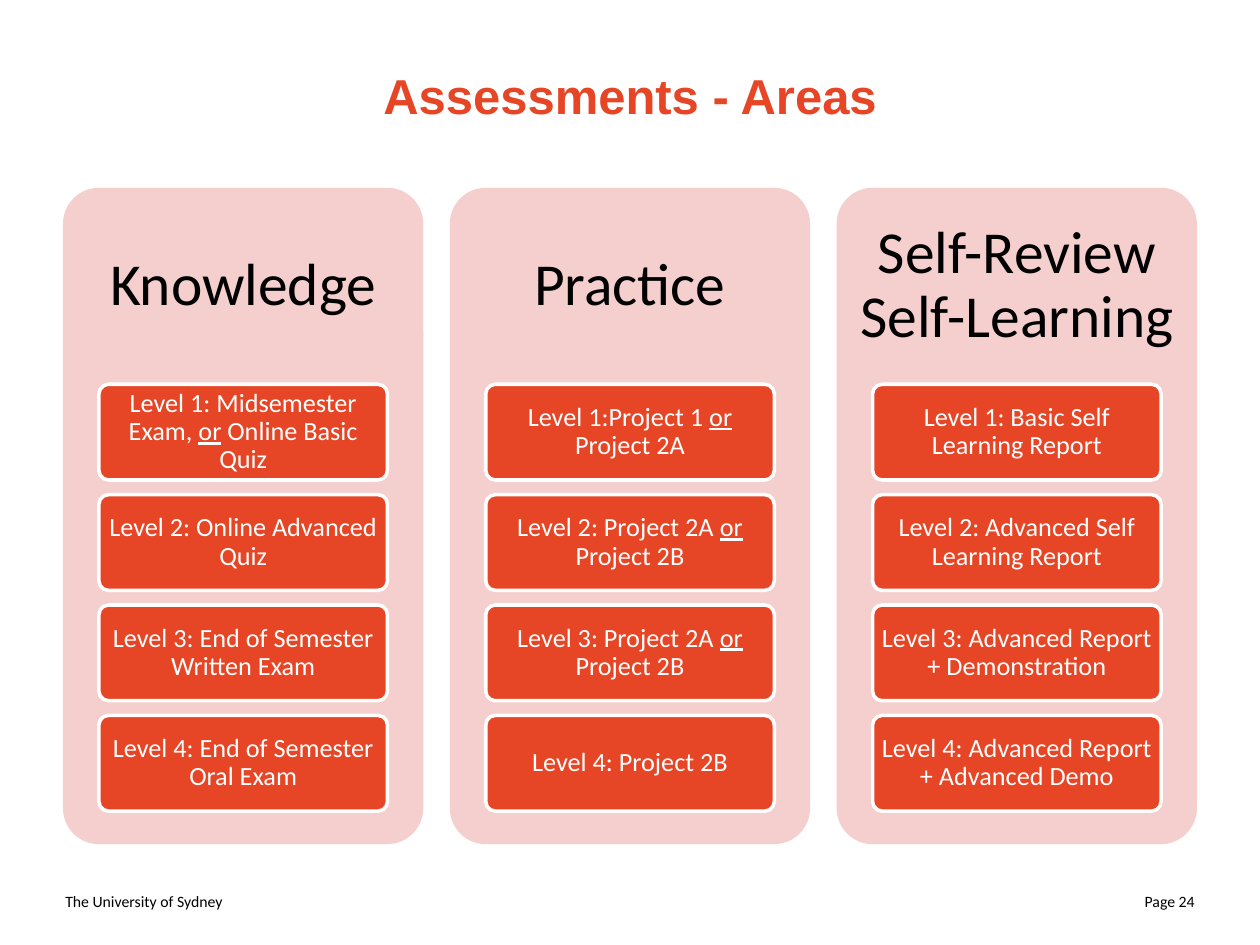
from pptx import Presentation
from pptx.dml.color import RGBColor
from pptx.enum.shapes import MSO_SHAPE
from pptx.enum.text import MSO_ANCHOR, PP_ALIGN
from pptx.util import Inches, Pt

TITLE = "Assessments - Areas"
AREAS = [
    ("Knowledge", [
        "Level 1: Midsemester Exam, or Online Basic Quiz",
        "Level 2: Online Advanced Quiz",
        "Level 3: End of Semester Written Exam",
        "Level 4: End of Semester Oral Exam",
    ]),
    ("Practice", [
        "Level 1:Project 1 or Project 2A",
        "Level 2: Project 2A or Project 2B",
        "Level 3: Project 2A or Project 2B",
        "Level 4: Project 2B",
    ]),
    ("Self-Review Self-Learning", [
        "Level 1: Basic Self Learning Report",
        "Level 2: Advanced Self Learning Report",
        "Level 3: Advanced Report + Demonstration",
        "Level 4: Advanced Report + Advanced Demo",
    ]),
]
FOOTERS = [
    ("The University of Sydney", 0.42, PP_ALIGN.LEFT),
    ("Page 24", 7.25, PP_ALIGN.RIGHT),
]

ORANGE, PINK, WHITE, BLACK = "E64626", "F5CFCD", "FFFFFF", "000000"
ALTERNATIVE = " or "
PANEL_LEFT, PANEL_TOP, PANEL_WIDTH, PANEL_HEIGHT = 0.5, 1.49, 2.86, 5.21
PANEL_PITCH = 3.07
HEADING_HEIGHT = 1.56
LEVEL_WIDTH, LEVEL_HEIGHT = 2.29, 0.76
LEVEL_TOP, LEVEL_PITCH = 3.05, 0.876


def color(value):
    return RGBColor.from_string(value)


def write(shape, text, size, text_color, align=PP_ALIGN.CENTER, font="Calibri",
          bold=False, spacing=None, insets=(0.1, 0.05)):
    frame = shape.text_frame
    frame.word_wrap = True
    frame.vertical_anchor = MSO_ANCHOR.MIDDLE
    frame.margin_left = frame.margin_right = Inches(insets[0])
    frame.margin_top = frame.margin_bottom = Inches(insets[1])
    paragraph = frame.paragraphs[0]
    paragraph.alignment = align
    paragraph.line_spacing = spacing
    before, alternative, after = text.partition(ALTERNATIVE)
    pieces = [before + " ", "or", " " + after] if alternative else [text]
    for piece in pieces:
        run = paragraph.add_run()
        run.text = piece
        run.font.name = font
        run.font.size = Pt(size)
        run.font.bold = bold
        run.font.underline = piece == "or"
        run.font.color.rgb = color(text_color)


def add_text(slide, left, top, width, height, *content, **style):
    box = slide.shapes.add_textbox(*map(Inches, (left, top, width, height)))
    write(box, *content, **style)


def add_card(slide, left, top, width, height, fill, line=None):
    card = slide.shapes.add_shape(
        MSO_SHAPE.ROUNDED_RECTANGLE, *map(Inches, (left, top, width, height)))
    card.adjustments[0] = 0.1
    card.shadow.inherit = False
    card.fill.solid()
    card.fill.fore_color.rgb = color(fill)
    if line:
        card.line.color.rgb = color(line)
        card.line.width = Pt(2)
    else:
        card.line.fill.background()
    return card


def add_area(slide, left, heading, levels):
    add_card(slide, left, PANEL_TOP, PANEL_WIDTH, PANEL_HEIGHT, PINK)
    add_text(slide, left, PANEL_TOP, PANEL_WIDTH, HEADING_HEIGHT,
             heading, 34, BLACK, spacing=0.9, insets=(0.14, 0.14))
    level_left = left + (PANEL_WIDTH - LEVEL_WIDTH) / 2
    for row, level in enumerate(levels):
        card = add_card(slide, level_left, LEVEL_TOP + row * LEVEL_PITCH,
                        LEVEL_WIDTH, LEVEL_HEIGHT, ORANGE, WHITE)
        write(card, level, 15, WHITE, spacing=0.9, insets=(0.04, 0.03))


def main():
    presentation = Presentation()
    presentation.slide_width, presentation.slide_height = Inches(10), Inches(7.5)
    slide = presentation.slides.add_slide(presentation.slide_layouts[6])
    for text, left, align in FOOTERS:
        add_text(slide, left, 6.95, 2.33, 0.4, text, 9, BLACK, align=align)
    add_text(slide, 0.5, 0.13, 9, 1.25, TITLE, 28, ORANGE, font="Arial", bold=True)
    for column, (heading, levels) in enumerate(AREAS):
        add_area(slide, PANEL_LEFT + column * PANEL_PITCH, heading, levels)
    presentation.save("out.pptx")


if __name__ == "__main__":
    main()
